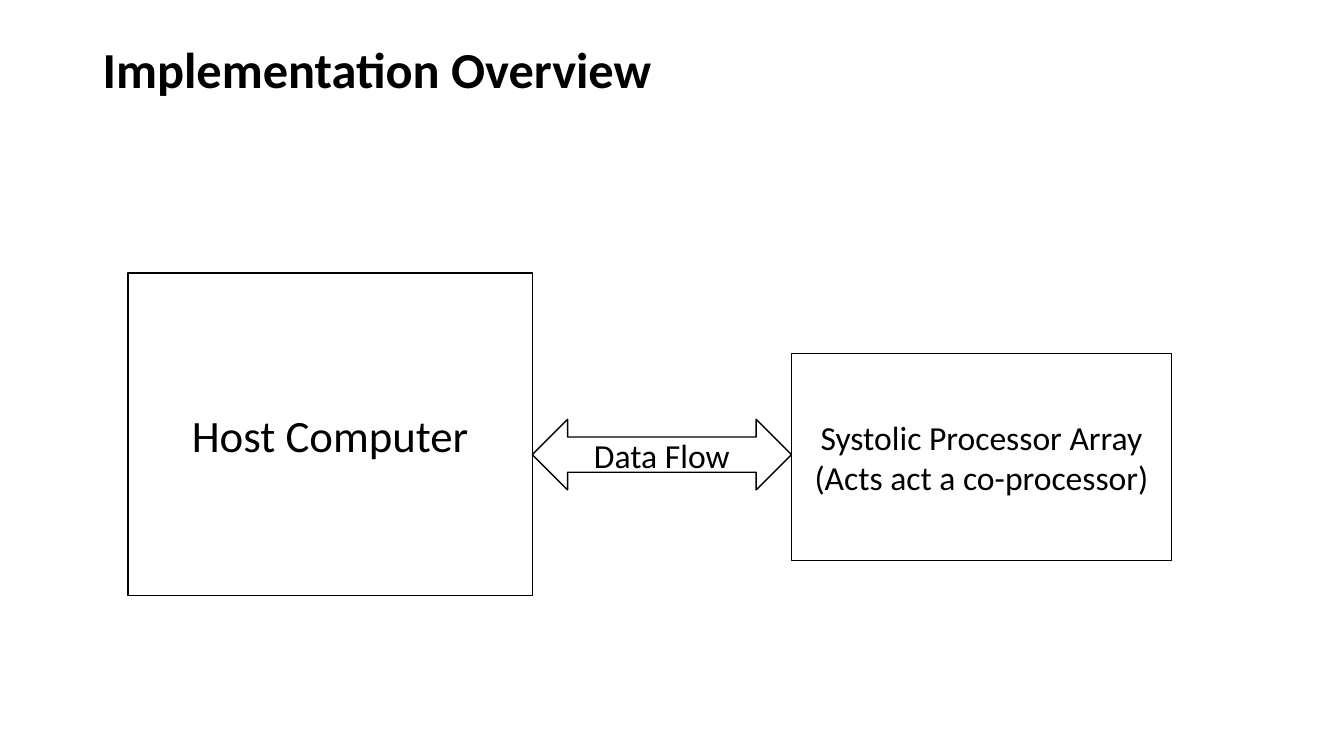
import pptx
import pptx.util
import pptx.dml.color
import pptx.enum.shapes
import pptx.enum.text

SLIDE_WIDTH = pptx.util.Inches(13.33)
SLIDE_HEIGHT = pptx.util.Inches(7.5)
FONT = "Calibri"
BLACK, WHITE = "000000", "FFFFFF"

# Left, top, width, height in percent of the slide.
TITLE = ("Implementation Overview", (6.9, 5.33, 86.27, 19.33), 36)
HOST = ("Host Computer", (9.53, 36.13, 30.08, 42.67), 32)
ARRAY = ("Systolic Processor Array\n(Acts act a co-processor)",
         (58.89, 46.8, 28.28, 27.33), 24)
FLOW_LABEL, FLOW_TOP, FLOW_HEIGHT, FLOW_SIZE = "Data Flow", 55.47, 9.33, 24


def color(hex_string):
    return pptx.dml.color.RGBColor.from_string(hex_string)


def to_slide(area):
    """Turn percentages into slide lengths."""
    sides = (SLIDE_WIDTH, SLIDE_HEIGHT) * 2
    return [round(side * share / 100) for side, share in zip(sides, area)]


def write(shape, text, size, alignment, anchor, bold=False):
    frame = shape.text_frame
    frame.word_wrap = True
    frame.vertical_anchor = anchor
    frame.text = text
    for paragraph in frame.paragraphs:
        paragraph.alignment = alignment
        for run in paragraph.runs:
            run.font.name = FONT
            run.font.size = pptx.util.Pt(size)
            run.font.bold = bold
            run.font.color.rgb = color(BLACK)


def add_block(slide, kind, text, area, size):
    shape = slide.shapes.add_shape(kind, *to_slide(area))
    shape.shadow.inherit = False
    shape.fill.solid()
    shape.fill.fore_color.rgb = color(WHITE)
    shape.line.color.rgb = color(BLACK)
    shape.line.width = pptx.util.Pt(1)
    write(shape, text, size, pptx.enum.text.PP_ALIGN.CENTER,
          pptx.enum.text.MSO_ANCHOR.MIDDLE)


def add_title(slide, text, area, size):
    box = slide.shapes.add_textbox(*to_slide(area))
    write(box, text, size, pptx.enum.text.PP_ALIGN.LEFT,
          pptx.enum.text.MSO_ANCHOR.TOP, bold=True)
    box.text_frame.paragraphs[0].line_spacing = 0.9


def main():
    presentation = pptx.Presentation()
    presentation.slide_width = SLIDE_WIDTH
    presentation.slide_height = SLIDE_HEIGHT
    slide = presentation.slides.add_slide(presentation.slide_layouts[6])

    kinds = pptx.enum.shapes.MSO_SHAPE
    for block in (HOST, ARRAY):
        add_block(slide, kinds.RECTANGLE, *block)

    # The arrow fills the gap between the two blocks.
    host_left, _, host_width, _ = HOST[1]
    flow_left = host_left + host_width
    flow_area = (flow_left, FLOW_TOP, ARRAY[1][0] - flow_left, FLOW_HEIGHT)
    add_block(slide, kinds.LEFT_RIGHT_ARROW, FLOW_LABEL, flow_area, FLOW_SIZE)

    add_title(slide, *TITLE)
    presentation.save("out.pptx")


if __name__ == "__main__":
    main()
